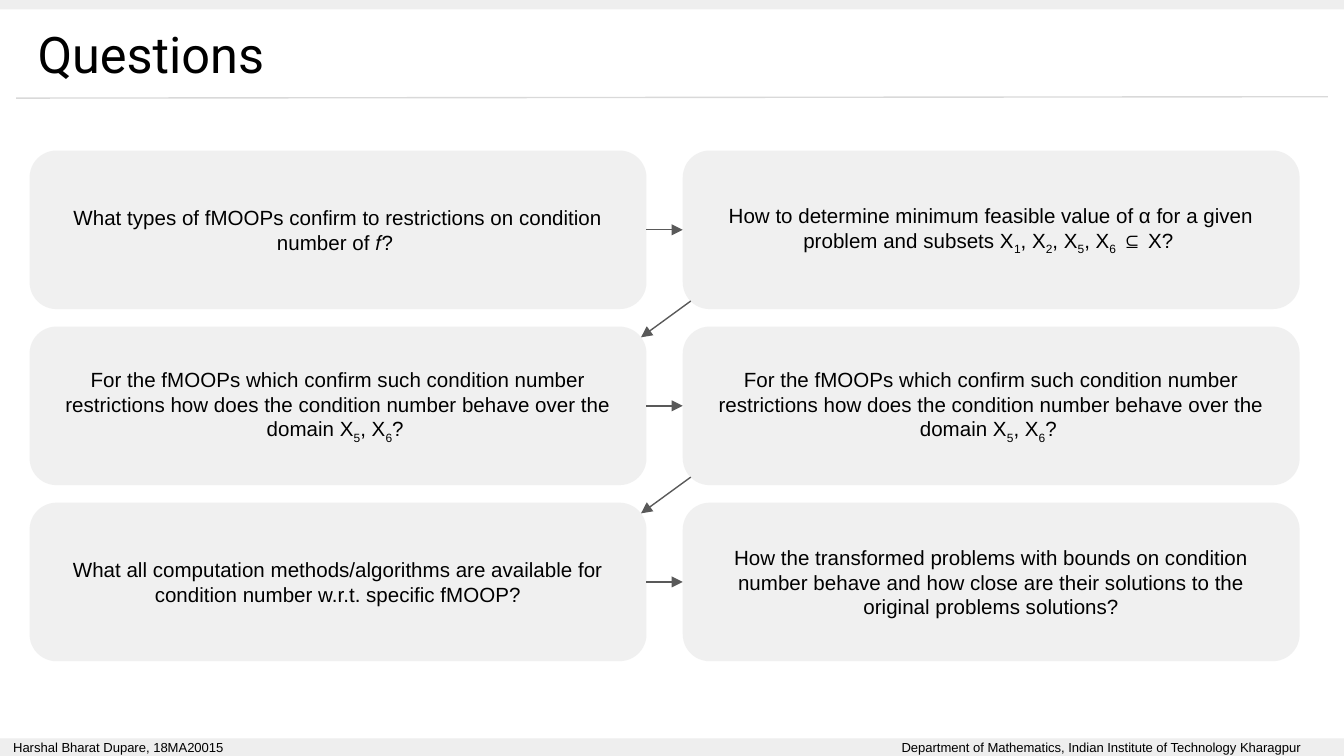
from dataclasses import dataclass
from itertools import product

from lxml.etree import SubElement
from pptx import Presentation
from pptx.dml.color import RGBColor
from pptx.enum.shapes import MSO_CONNECTOR, MSO_SHAPE
from pptx.enum.text import MSO_ANCHOR, PP_ALIGN
from pptx.oxml.ns import qn
from pptx.util import Inches, Pt

W = 10
H = W * 9 / 16
BODY = {"name": "Arial", "size": Pt(11)}
FOOT = {"name": "Arial", "size": Pt(7)}
TITLE = {"name": "Roboto", "size": Pt(27)}


@dataclass(frozen=True)
class Box:
    x: float
    y: float
    w: float
    h: float

    @property
    def right(self) -> float:
        return self.x + self.w

    @property
    def bottom(self) -> float:
        return self.y + self.h

    @property
    def middle(self) -> float:
        return self.y + self.h / 2

    def emu(self) -> list:
        return [Inches(v) for v in (self.x, self.y, self.w, self.h)]


@dataclass(frozen=True)
class Grid:
    x: float
    y: float
    w: float
    h: float
    gap_x: float
    gap_y: float

    def cell(self, row: int, col: int) -> Box:
        return Box(self.x + col * (self.w + self.gap_x),
                   self.y + row * (self.h + self.gap_y), self.w, self.h)


GRID = Grid(x=0.22, y=1.12, w=4.59, h=1.18, gap_x=0.27, gap_y=0.13)
BEHAVIOUR = ("For the fMOOPs which confirm such condition number restrictions "
             "how does the condition number behave over the domain X_5, X_6? ")
QUESTIONS = [
    ["What types of fMOOPs confirm to restrictions on condition number of 𝑓? ",
     "How to determine minimum feasible value of α for a given problem and "
     "subsets X_1, X_2, X_5, X_6 ⊆ X? "],
    [BEHAVIOUR, BEHAVIOUR],
    ["What all computation methods/algorithms are available for condition "
     "number w.r.t. specific fMOOP?",
     "How the transformed problems with bounds on condition number behave "
     "and how close are their solutions to the original problems solutions?"],
]


def rgb(value: str) -> RGBColor:
    return RGBColor.from_string(value)


def add_run(p, text: str, fmt: dict, baseline: int = 0) -> None:
    if not text:
        return
    r = p.add_run()
    r.text = text
    for key, value in fmt.items():
        setattr(r.font, key, value)
    r.font.color.rgb = rgb("000000")
    if baseline:
        r._r.get_or_add_rPr().set("baseline", str(baseline * 1000))


def write(sp, text: str, fmt: dict, align=PP_ALIGN.LEFT,
          anchor=MSO_ANCHOR.MIDDLE, left: float = 0.1):
    tf = sp.text_frame
    layout = {"word_wrap": True, "vertical_anchor": anchor,
              "margin_left": Inches(left), "margin_right": Inches(0.1),
              "margin_top": Inches(0.1), "margin_bottom": Inches(0.1)}
    for key, value in layout.items():
        setattr(tf, key, value)
    p = tf.paragraphs[0]
    p.alignment = align
    first, *rest = text.split("_")
    add_run(p, first, fmt)
    for part in rest:
        add_run(p, part[0], fmt, -25)
        add_run(p, part[1:], fmt)
    return p


def add_block(s, box: Box, fill: str, kind=MSO_SHAPE.RECTANGLE, alpha: int = 100):
    sp = s.shapes.add_shape(kind, *box.emu())
    sp.shadow.inherit = False
    sp.line.fill.background()
    sp.fill.solid()
    sp.fill.fore_color.rgb = rgb(fill)
    if alpha < 100:
        clr = sp._element.spPr.find(qn("a:solidFill"))[0]
        SubElement(clr, qn("a:alpha")).set("val", str(alpha * 1000))
    return sp


def add_line(s, x1: float, y1: float, x2: float, y2: float,
             color: str, arrow: bool = False) -> None:
    ln = s.shapes.add_connector(MSO_CONNECTOR.STRAIGHT,
                                *(Inches(v) for v in (x1, y1, x2, y2)))
    ln.line.color.rgb = rgb(color)
    ln.line.width = Pt(0.75)
    if arrow:
        SubElement(ln.line._get_or_add_ln(), qn("a:tailEnd")).set("type", "triangle")
    SubElement(ln._element.spPr, qn("a:effectLst"))


def add_frame(s) -> None:
    add_line(s, 0.12, 0.73, W - 0.12, 0.72, "D9D9D9")
    tb = s.shapes.add_textbox(*Box(0, 0.07, W, 0.66).emu())
    write(tb, "Questions", TITLE, anchor=MSO_ANCHOR.TOP, left=0.28)
    footer = add_block(s, Box(0, H - 0.13, W, 0.13), "EEEEEE")
    p = write(footer, "Harshal Bharat Dupare, 18MA20015\tDepartment of Mathematics, "
                      "Indian Institute of Technology Kharagpur", FOOT)
    tabs = SubElement(p._p.get_or_add_pPr(), qn("a:tabLst"))
    tab = SubElement(tabs, qn("a:tab"))
    tab.set("pos", str(Inches(9.58)))
    tab.set("algn", "r")
    add_block(s, Box(0, 0, W, 0.07), "EEEEEE")


def add_questions(s) -> None:
    for col, row in product(range(2), range(3)):
        sp = add_block(s, GRID.cell(row, col), "ECECEC",
                       MSO_SHAPE.ROUNDED_RECTANGLE, 79)
        sp.adjustments[0] = 0.17
        write(sp, QUESTIONS[row][col], BODY, PP_ALIGN.CENTER)


def add_arrows(s) -> None:
    for row in range(3):
        left, right = GRID.cell(row, 0), GRID.cell(row, 1)
        add_line(s, left.right, left.middle, right.x, right.middle, "595959", True)
        if row < 2:
            below = GRID.cell(row + 1, 0)
            add_line(s, right.x + 0.06, right.bottom - 0.06,
                     below.right - 0.04, below.y + 0.08, "595959", True)


def main() -> None:
    prs = Presentation()
    prs.slide_width, prs.slide_height = Inches(W), Inches(H)
    s = prs.slides.add_slide(prs.slide_layouts[6])
    add_frame(s)
    add_questions(s)
    add_arrows(s)
    prs.save("out.pptx")


if __name__ == "__main__":
    main()
